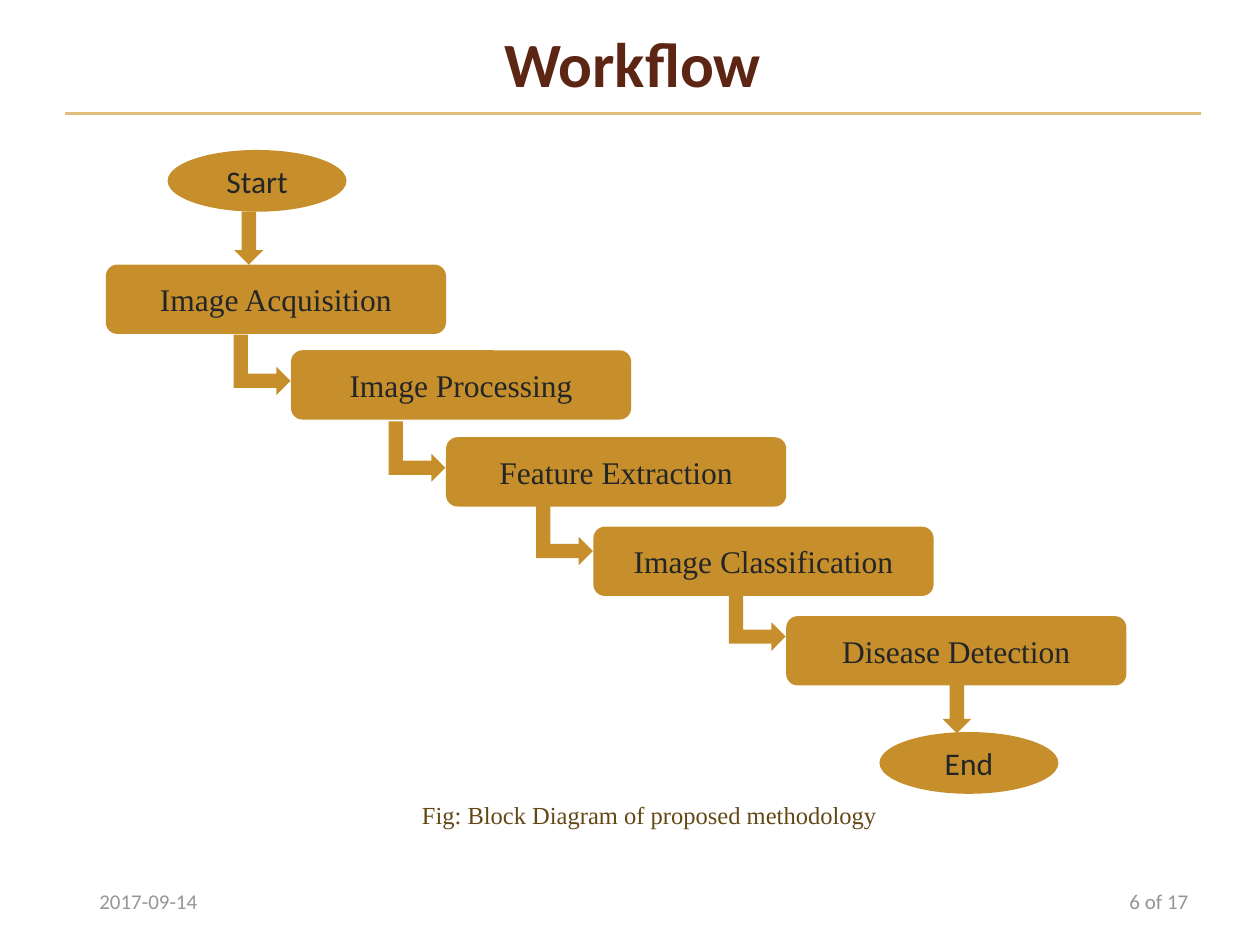
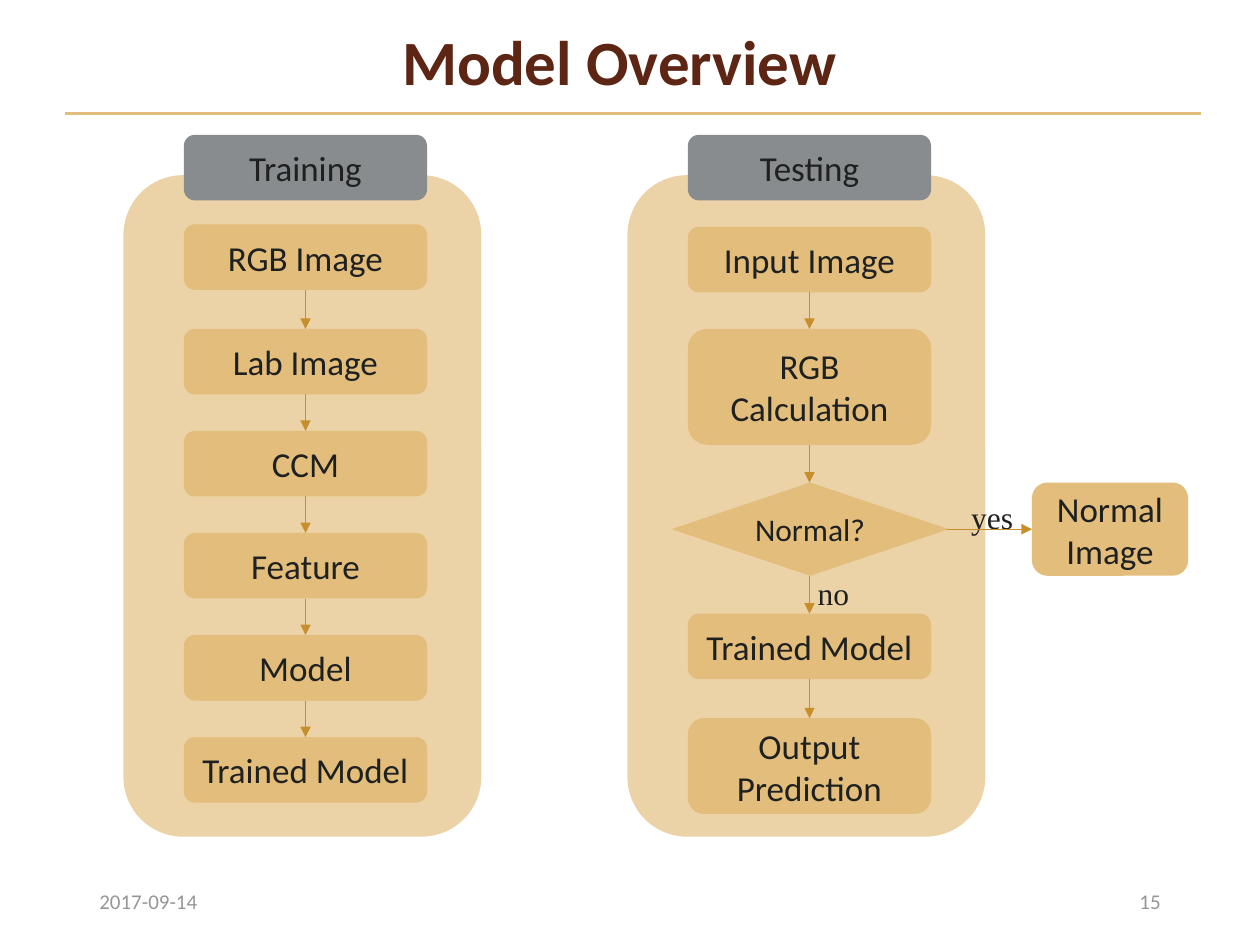
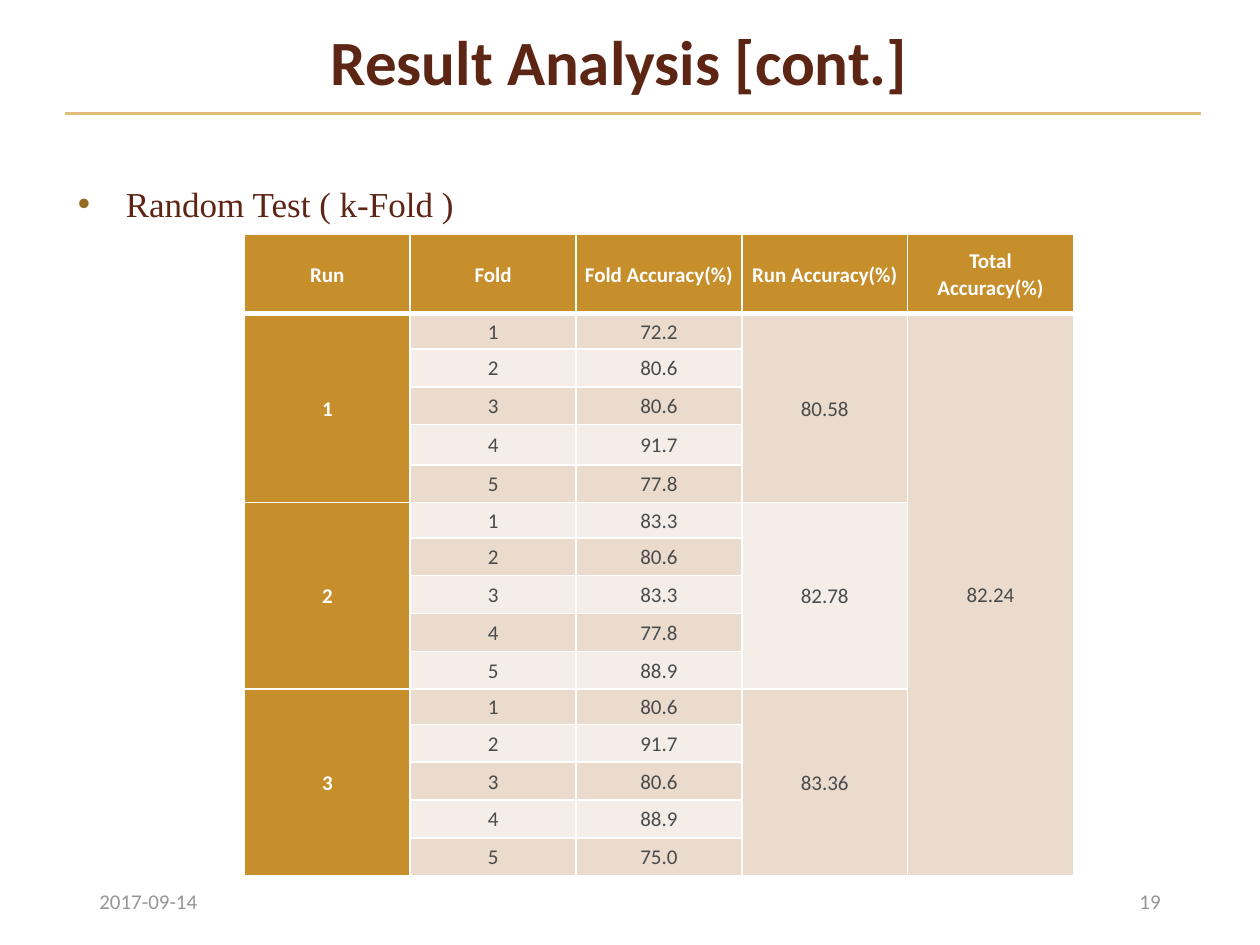
from dataclasses import dataclass
from itertools import pairwise

from lxml.etree import SubElement
from pptx import Presentation
from pptx.dml.color import RGBColor
from pptx.enum.shapes import MSO_CONNECTOR, MSO_SHAPE
from pptx.enum.text import MSO_ANCHOR, PP_ALIGN
from pptx.oxml.ns import qn
from pptx.util import Inches, Pt


@dataclass(frozen=True)
class Theme:
    sans: str = "Calibri"
    serif: str = "Times New Roman"
    title: str = "5D2513"
    footer: str = "959697"
    caption: str = "634816"
    bullet: str = "946B21"
    topic: str = "5E2514"
    gold: str = "C68F2C"
    sand: str = "E2BD7B"
    panel: str = "ECD3A7"
    gray: str = "888C8F"
    flow_text: str = "242526"
    model_text: str = "1F2020"
    white: str = "FFFFFF"
    cell_text: str = "494B4D"
    band_dark: str = "EADBCD"
    band_light: str = "F5EEE8"
    title_size: int = 36
    large: int = 20
    medium: int = 18
    caption_size: int = 14
    small: int = 12


theme = Theme()


def write(frame, text, size, color, font=theme.sans, bold=False,
          align=PP_ALIGN.CENTER, anchor=MSO_ANCHOR.MIDDLE, spacing=1.0, wrap=True):
    """Fill a text frame, one paragraph per line of text."""
    frame.word_wrap = wrap
    frame.vertical_anchor = anchor
    for number, line in enumerate(text.split("\n")):
        paragraph = frame.add_paragraph() if number else frame.paragraphs[0]
        paragraph.alignment = align
        paragraph.line_spacing = spacing
        run = paragraph.add_run()
        run.text = line
        run.font.name, run.font.size, run.font.bold = font, Pt(size), bold
        run.font.color.rgb = RGBColor.from_string(color)


def block(slide, preset, box, fill):
    """Add a plain filled shape."""
    shape = slide.shapes.add_shape(preset, *map(Inches, box))
    shape.shadow.inherit = False
    shape.fill.solid()
    shape.fill.fore_color.rgb = RGBColor.from_string(fill)
    shape.line.fill.background()
    return shape


deck = Presentation()
deck.slide_width, deck.slide_height = Inches(10), Inches(7.5)

# Shared frame: title, rule, date and page number
slides = []
lines = []  # slide, start, end, colour, width, arrowhead
for title, title_box, page, page_left in [
    ("Workflow", (0.52, 0.2, 9, 0.67), "6 of 17", 7.28),
    ("Model Overview", (0.64, 0.23, 8.55, 0.58), "15", 7.06),
    ("Result Analysis [cont.]", (0.64, 0.23, 8.55, 0.58), "19", 7.06),
]:
    slide = deck.slides.add_slide(deck.slide_layouts[6])
    slides.append(slide)
    heading = slide.shapes.add_textbox(*map(Inches, title_box))
    write(heading.text_frame, title, theme.title_size, theme.title, bold=True, spacing=0.9)
    for note, left, align in [("2017-09-14", 0.69, PP_ALIGN.LEFT), (page, page_left, PP_ALIGN.RIGHT)]:
        footer = slide.shapes.add_textbox(*map(Inches, (left, 6.95, 2.25, 0.4)))
        write(footer.text_frame, note, theme.small, theme.footer, align=align)
    lines.append((slide, (0.52, 0.9), (9.53, 0.9), theme.sand, 1.5, False))
workflow, overview, results = slides

# Workflow: staircase of steps
for step, left, top in [
    ("Image Acquisition", 0.84, 2.1),
    ("Image Processing", 2.31, 2.78),
    ("Feature Extraction", 3.54, 3.47),
    ("Image Classification", 4.71, 4.18),
    ("Disease Detection", 6.24, 4.89),
]:
    stair = block(workflow, MSO_SHAPE.ROUNDED_RECTANGLE, (left, top, 2.7, 0.55), theme.gold)
    write(stair.text_frame, step, theme.medium, theme.flow_text, theme.serif)

for terminal, left, top in [("Start", 1.33, 1.19), ("End", 6.98, 5.81)]:
    oval = block(workflow, MSO_SHAPE.OVAL, (left, top, 1.42, 0.49), theme.gold)
    write(oval.text_frame, terminal, theme.medium, theme.flow_text)

# Workflow: arrows between the steps
for left, top in [(1.84, 2.67), (3.07, 3.36), (4.24, 4.02), (5.77, 4.7)]:
    bend = block(workflow, MSO_SHAPE.BENT_UP_ARROW, (left, top, 0.48, 0.45), theme.gold)
    bend.rotation = 90
for left, top in [(1.86, 1.68), (7.48, 5.4)]:
    block(workflow, MSO_SHAPE.DOWN_ARROW, (left, top, 0.23, 0.42), theme.gold)

caption = workflow.shapes.add_textbox(*map(Inches, (0.84, 6.23, 8.63, 0.41)))
write(caption.text_frame, "Fig: Block Diagram of proposed methodology", theme.caption_size,
      theme.caption, theme.serif, anchor=MSO_ANCHOR.TOP, spacing=1.3)

# Model overview: two panels, each a chain of stages (text, top, height)
training = [("RGB Image", 1.78, 0.52)] + [
    (stage, 2.61 + 0.81 * row, 0.52)
    for row, stage in enumerate(["Lab Image", "CCM", "Feature", "Model", "Trained Model"])
]
testing = [
    ("Input Image", 1.8, 0.52),
    ("RGB\nCalculation", 2.61, 0.92),
    ("Normal?", 3.83, 0.74),
    ("Trained Model", 4.87, 0.52),
    ("Output\nPrediction", 5.7, 0.76),
]
for phase, left, stages in [("Training", 0.98, training), ("Testing", 4.98, testing)]:
    block(overview, MSO_SHAPE.ROUNDED_RECTANGLE, (left, 1.39, 2.84, 5.25), theme.panel)
    tab = block(overview, MSO_SHAPE.ROUNDED_RECTANGLE, (left + 0.48, 1.07, 1.93, 0.52), theme.gray)
    write(tab.text_frame, phase, theme.large, theme.model_text)
    for stage, top, height in stages:
        if stage == "Normal?":
            preset, stage_left, width, size = MSO_SHAPE.DIAMOND, left + 0.35, 2.2, theme.medium
        else:
            preset, stage_left, width, size = MSO_SHAPE.ROUNDED_RECTANGLE, left + 0.48, 1.93, theme.large
        box = block(overview, preset, (stage_left, top, width, height), theme.sand)
        write(box.text_frame, stage, size, theme.model_text)
    center = left + 1.445
    for (_, top, height), (_, next_top, _) in pairwise(stages):
        lines.append((overview, (center, top + height), (center, next_top), theme.gold, 0.5, True))

# Model overview: branch of the decision
normal = block(overview, MSO_SHAPE.ROUNDED_RECTANGLE, (8.19, 3.83, 1.24, 0.74), theme.sand)
write(normal.text_frame, "Normal\nImage", theme.large, theme.model_text)
lines.append((overview, (7.52, 4.2), (8.19, 4.2), theme.gold, 0.5, True))
for answer, left, top, width in [("yes", 7.61, 3.81, 0.54), ("no", 6.39, 4.42, 0.45)]:
    label = overview.shapes.add_textbox(*map(Inches, (left, top, width, 0.49)))
    write(label.text_frame, answer, theme.medium, theme.model_text, theme.serif,
          align=PP_ALIGN.LEFT, anchor=MSO_ANCHOR.TOP, spacing=1.3, wrap=False)

# Result analysis: bulleted topic
topic = results.shapes.add_textbox(*map(Inches, (0.52, 1.23, 9, 0.77)))
write(topic.text_frame, "Random Test ( k-Fold )", theme.large, theme.topic, theme.serif,
      align=PP_ALIGN.LEFT, anchor=MSO_ANCHOR.TOP, spacing=1.5)
topic_line = topic.text_frame.paragraphs[0]
topic_line.space_before = Pt(14)
bullet = topic_line._p.get_or_add_pPr()
bullet.set("marL", str(Inches(0.38)))
bullet.set("indent", str(-Inches(0.38)))
SubElement(SubElement(bullet, qn("a:buClr")), qn("a:srgbClr"), val=theme.bullet)
SubElement(bullet, qn("a:buFont"), typeface="Arial")
SubElement(bullet, qn("a:buChar"), char="•")

# Result analysis: accuracy by run and fold
headers = ["Run", "Fold", "Fold Accuracy(%)", "Run Accuracy(%)", "Total Accuracy(%)"]
runs = [
    ("80.58", ["72.2", "80.6", "80.6", "91.7", "77.8"]),
    ("82.78", ["83.3", "80.6", "83.3", "77.8", "88.9"]),
    ("83.36", ["80.6", "91.7", "80.6", "88.9", "75.0"]),
]
records = [headers]
for run_number, (run_accuracy, folds) in enumerate(runs, 1):
    for fold, accuracy in enumerate(folds, 1):
        first = fold == 1
        records.append([
            str(run_number) if first else "", str(fold), accuracy,
            run_accuracy if first else "", "82.24" if first and run_number == 1 else "",
        ])

accuracy_table = results.shapes.add_table(16, 5, *map(Inches, (1.94, 1.86, 6.58, 5.09))).table
accuracy_table.horz_banding = False
for column in accuracy_table.columns:
    column.width = Inches(1.316)
heights = [0.63] + [0.28, 0.3, 0.3, 0.32, 0.3] + 2 * [0.28, 0.3, 0.3, 0.3, 0.3]
for row, height in zip(accuracy_table.rows, heights):
    row.height = Inches(height)

for r, record in enumerate(records):
    for c, value in enumerate(record):
        cell = accuracy_table.cell(r, c)
        cell.margin_left = cell.margin_right = Inches(0.07)
        cell.margin_top = cell.margin_bottom = 0
        cell.vertical_anchor = MSO_ANCHOR.MIDDLE
        for side in ("lnL", "lnR", "lnT", "lnB"):
            thick = (r, side) in [(0, "lnB"), (1, "lnT")]
            border = SubElement(cell._tc.get_or_add_tcPr(), qn(f"a:{side}"), w=str(Pt(3 if thick else 1)))
            SubElement(SubElement(border, qn("a:solidFill")), qn("a:srgbClr"), val=theme.white)
        strong = r == 0 or c == 0
        fill = theme.gold if strong else theme.band_dark if r % 2 else theme.band_light
        cell.fill.solid()
        cell.fill.fore_color.rgb = RGBColor.from_string(fill)
        if value:
            write(cell.text_frame, value, theme.small, theme.white if strong else theme.cell_text,
                  bold=strong, spacing=1.07)

for top in (1, 6, 11):
    for c in (0, 3):
        accuracy_table.cell(top, c).merge(accuracy_table.cell(top + 4, c))
accuracy_table.cell(1, 4).merge(accuracy_table.cell(15, 4))

# Rules and flow arrows
for slide, start, end, color, width, arrowhead in lines:
    line = slide.shapes.add_connector(MSO_CONNECTOR.STRAIGHT, *map(Inches, start + end))
    line.line.color.rgb = RGBColor.from_string(color)
    line.line.width = Pt(width)
    if arrowhead:
        SubElement(line.line._get_or_add_ln(), qn("a:tailEnd"), type="triangle")
    SubElement(line._element.spPr, qn("a:effectLst"))

deck.save("out.pptx")
